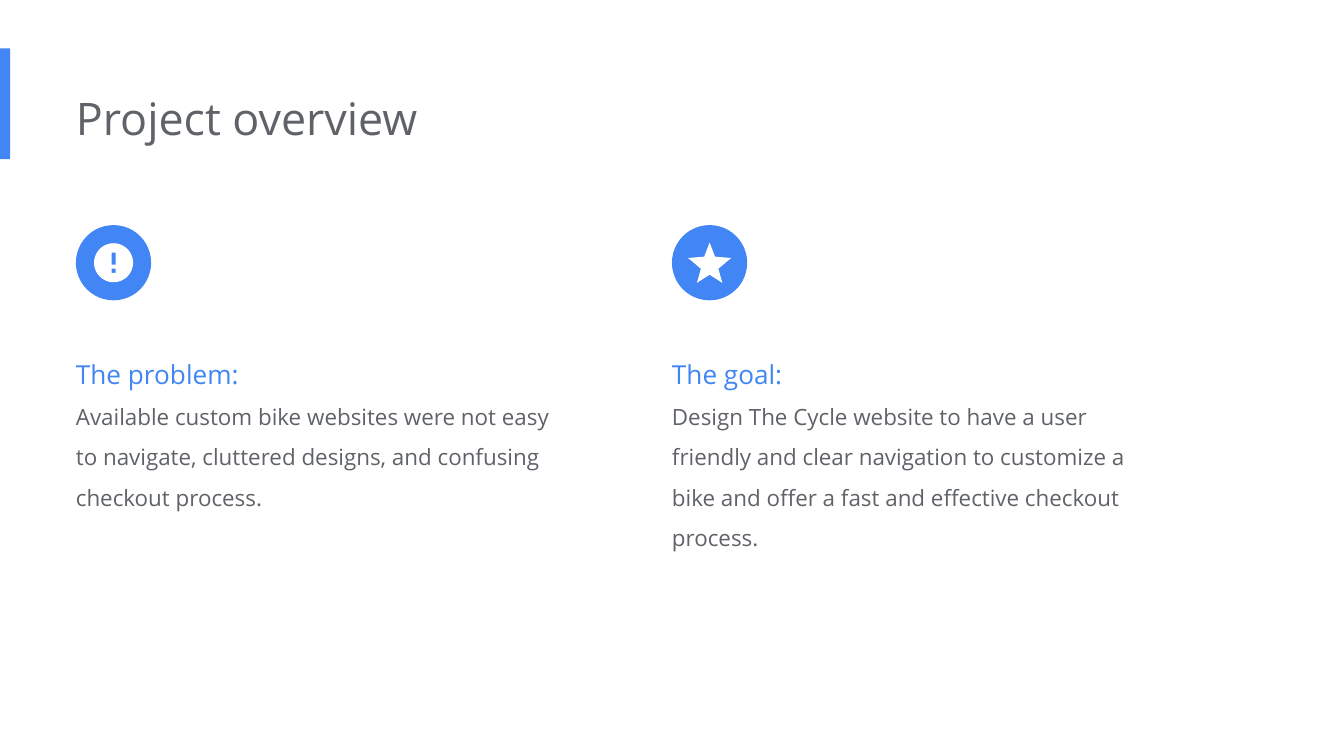
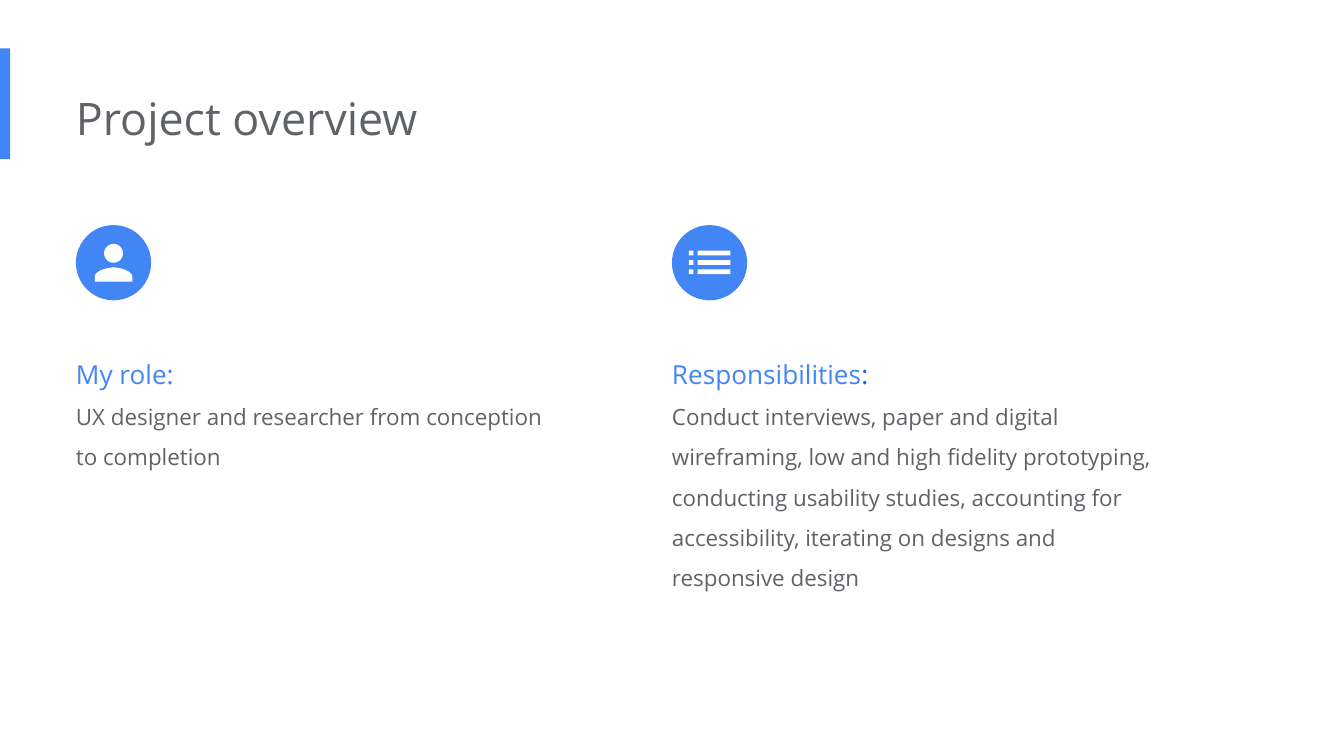
from math import cos, pi, sin

from pptx import Presentation
from pptx.dml.color import RGBColor
from pptx.enum.shapes import MSO_SHAPE as Preset
from pptx.enum.text import MSO_AUTO_SIZE as AutoSize
from pptx.util import Pt

PX = 4572  # 200 px to the inch
SLIDE_SIZE = (2000, 1125)
FONT = "Open Sans"
BLUE, DARK_BLUE, GRAY, WHITE = "4285F4", "1967D2", "5F6368", "FFFFFF"

TITLE = "Project overview"
LEFTS = (113, 1000)
BADGE_TOP, BADGE_SIZE = 335, 112
TEXT_TOP, TEXT_WIDTH = 490, 754

# Per column: icon, heading runs, body, text height
SLIDES = [
    [
        ("alert", [("The problem:", BLUE)],
         "Available custom bike websites were not easy to navigate, "
         "cluttered designs, and confusing checkout process.", 292),
        ("star", [("The goal:", BLUE)],
         "Design The Cycle website to have a user friendly and clear navigation "
         "to customize a bike and offer a fast and effective checkout process.", 354),
    ],
    [
        ("person", [("My role:", BLUE)],
         "UX designer and researcher from conception to completion", 232),
        ("list", [("Responsibilities", BLUE), (":", DARK_BLUE)],
         "Conduct interviews, paper and digital wireframing, low and high fidelity "
         "prototyping, conducting usability studies, accounting for accessibility, "
         "iterating on designs and responsive design", 414),
    ],
]


def box(left, top, right, bottom):
    return [(left, top), (right, top), (right, bottom), (left, bottom)]


def circle(center_y, radius, steps=72):
    angles = [2 * pi * step / steps for step in range(steps)]
    return [(radius * cos(a), center_y + radius * sin(a)) for a in angles]


def bezier(start, control1, control2, end, steps=16):
    points = []
    for step in range(steps + 1):
        t = step / steps
        weights = ((1 - t) ** 3, 3 * t * (1 - t) ** 2, 3 * t ** 2 * (1 - t), t ** 3)
        points.append(tuple(
            sum(w * v for w, v in zip(weights, values))
            for values in zip(start, control1, control2, end)))
    return points


def mirrored(half):
    """Close an outline that is symmetric about the vertical axis."""
    return half + [(-x, y) for x, y in reversed(half)]


# Contours in px from the badge centre
ICONS = {
    "alert": [circle(0, 29), box(-3, -15, 3, 3), box(-3, 9, 3, 15)],
    "star": [mirrored([(0, -30), (8, -9), (32, -7), (13, 9), (19, 30), (0, 18)])],
    "person": [circle(-14, 14),
               mirrored(bezier((0, 7), (9, 7), (28, 12), (28, 21)) + [(28, 28)])],
    "list": [box(left, top, right, top + 7)
             for left, right in ((-31, -24), (-18, 31)) for top in (-18, -4, 10)],
}


def rgb(color):
    return RGBColor.from_string(color)


def paint(shape, color):
    shape.shadow.inherit = False
    shape.fill.solid()
    shape.fill.fore_color.rgb = rgb(color)
    shape.line.fill.background()


def add_preset(slide, preset, *place):
    shape = slide.shapes.add_shape(preset, *(value * PX for value in place))
    paint(shape, BLUE)


def add_icon(slide, name, center_x, center_y):
    contours = [[((center_x + x) * PX, (center_y + y) * PX) for x, y in contour]
                for contour in ICONS[name]]
    builder = slide.shapes.build_freeform(*contours[0][0], scale=1.0)
    for index, contour in enumerate(contours):
        if index:
            builder.move_to(*contour[0])
        builder.add_line_segments(contour[1:], close=True)
    paint(builder.convert_to_shape(), WHITE)


def add_text(slide, place, paragraphs, line_spacing=None):
    """Each paragraph is a size and a list of (text, colour) runs."""
    frame = slide.shapes.add_textbox(*(value * PX for value in place)).text_frame
    frame.word_wrap = True
    frame.auto_size = AutoSize.SHAPE_TO_FIT_TEXT
    frame.margin_left = 0
    frame.margin_top = frame.margin_right = frame.margin_bottom = 20 * PX
    for index, (size, runs) in enumerate(paragraphs):
        paragraph = frame.add_paragraph() if index else frame.paragraphs[0]
        paragraph.line_spacing = line_spacing
        paragraph.font.name = FONT
        paragraph.font.size = Pt(size)
        for text, color in runs:
            run = paragraph.add_run()
            run.text = text
            run.font.color.rgb = rgb(color)


def add_column(slide, left, icon, heading, body, height):
    add_text(slide, (left, TEXT_TOP, TEXT_WIDTH, height),
             [(14, heading), (12, [(body, GRAY)])], 1.5)
    add_preset(slide, Preset.OVAL, left, BADGE_TOP, BADGE_SIZE, BADGE_SIZE)
    add_icon(slide, icon, left + BADGE_SIZE // 2, BADGE_TOP + BADGE_SIZE // 2)


def main():
    presentation = Presentation()
    presentation.slide_width, presentation.slide_height = (
        value * PX for value in SLIDE_SIZE)
    for columns in SLIDES:
        slide = presentation.slides.add_slide(presentation.slide_layouts[6])
        slide.background.fill.solid()
        slide.background.fill.fore_color.rgb = rgb(WHITE)
        add_preset(slide, Preset.RECTANGLE, 0, 72, 15, 165)
        add_text(slide, (LEFTS[0], 115, 1346, 122), [(24, [(TITLE, GRAY)])])
        for left, column in zip(LEFTS, columns):
            add_column(slide, left, *column)
    presentation.save("out.pptx")


if __name__ == "__main__":
    main()
